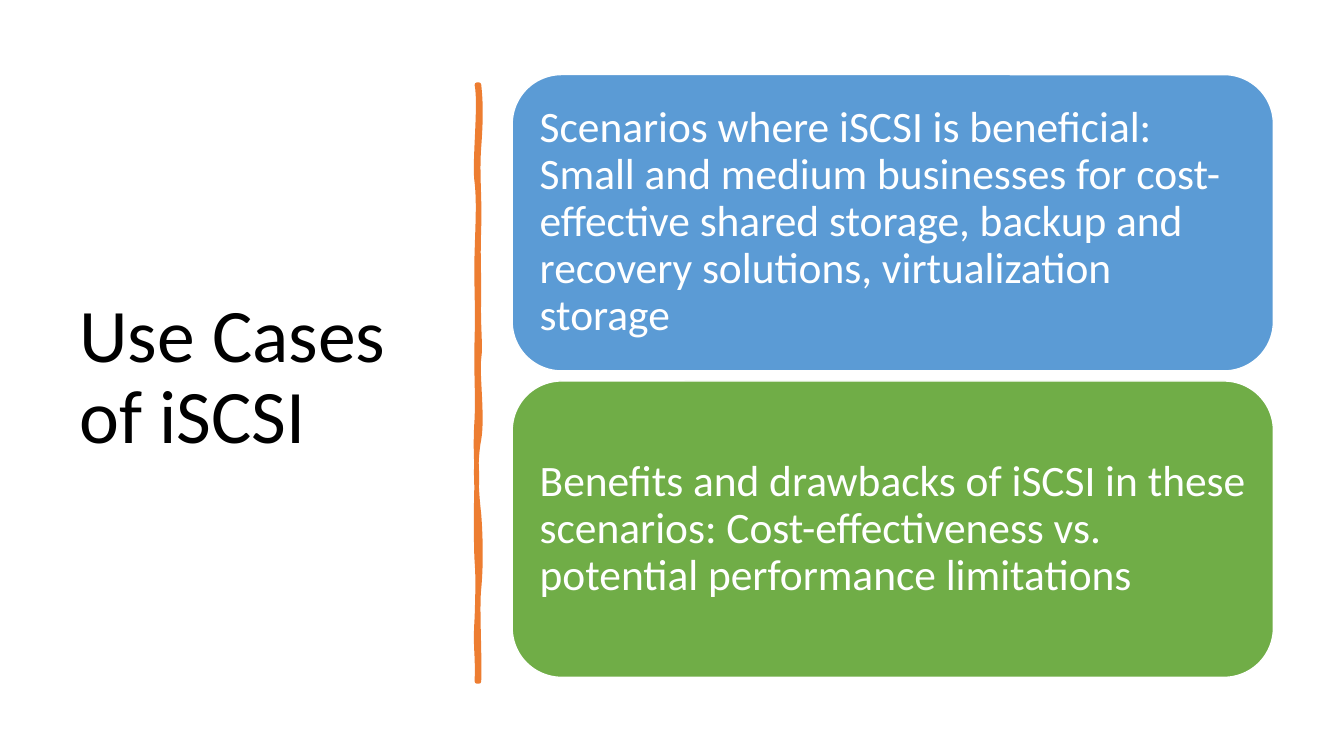
import pptx
import pptx.util
import pptx.dml.color
import pptx.enum.shapes
import pptx.enum.text
import pptx.oxml.ns
import lxml.etree

TITLE = "Use Cases of iSCSI"
CARDS = [
    ("Scenarios where iSCSI is beneficial: Small and medium businesses for cost-effective shared "
     "storage, backup and recovery solutions, virtualization storage", "5B9BD5"),
    ("Benefits and drawbacks of iSCSI in these scenarios: Cost-effectiveness vs. potential "
     "performance limitations", "70AD47"),
]
THEME = {"font": "Calibri", "title": 54, "body": 31, "dark": "000000", "light": "FFFFFF",
         "accent": "ED7D31", "brush": 3.25, "border": 1}

SCALE = 9144
SLIDE_SIZE = (1333, 750)
TITLE_BOX = (69, 70, 374, 611)
TITLE_INSET = (10, 5)
CARD_BOX = (508, 74, 755, 294)
CARD_GAP = 10
CARD_INSET = (13, 13)
BRUSH_LEFT, BRUSH_TOP, BRUSH_RIGHT, BRUSH_BOTTOM = 473, 84, 475, 676
BRUSH_OUTLINE = [
    (477, 102, 477, 119, 475, 146), (473, 173, 476, 195, 475, 226),
    (474, 257, 475, 262, 475, 294), (474, 325, 477, 342, 475, 356),
    (473, 370, 479, 414, 475, 436), (471, 457, 472, 484, 475, 510),
    (477, 536, 477, 564, 475, 584), (473, 603, 476, 650, 475, 676),
    (474, 676, 473, 676, 473, 676), (474, 646, 471, 644, 473, 613),
    (474, 583, 474, 570, 473, 557), (472, 544, 472, 495, 473, 477),
    (473, 459, 471, 445, 473, 415), (474, 386, 472, 373, 473, 335),
    (474, 298, 472, 281, 473, 250), (474, 218, 475, 200, 473, 181),
    (470, 163, 477, 104, 473, 84), (474, 84, 474, 84, 475, 84),
]
BRUSH_BODY = [
    (475, 115, 472, 125, 475, 152), (477, 179, 474, 197, 475, 208),
    (476, 220, 474, 255, 475, 294), (476, 333, 473, 343, 475, 362),
    (477, 381, 477, 397, 475, 430), (472, 463, 475, 474, 475, 516),
    (475, 557, 474, 553, 475, 578), (476, 603, 474, 647, 475, 676),
    (474, 675, 473, 675, 473, 676), (470, 649, 474, 632, 473, 613),
    (472, 595, 475, 569, 473, 539), (471, 510, 476, 500, 473, 471),
    (470, 442, 477, 420, 473, 386), (469, 351, 474, 325, 473, 300),
    (471, 275, 471, 259, 473, 238), (474, 216, 474, 185, 473, 164),
    (471, 143, 475, 121, 473, 84), (474, 84, 474, 84, 475, 84),
]


def emu(*lengths):
    return [round(length * SCALE) for length in lengths]


def color(value):
    return pptx.dml.color.RGBColor.from_string(value)


def write_text(shape, text, *, size, text_color, inset):
    frame = shape.text_frame
    frame.word_wrap = True
    frame.vertical_anchor = pptx.enum.text.MSO_ANCHOR.MIDDLE
    frame.margin_left, frame.margin_top = emu(*inset)
    frame.margin_right, frame.margin_bottom = emu(*inset)
    paragraph = frame.paragraphs[0]
    paragraph.alignment = pptx.enum.text.PP_ALIGN.LEFT
    paragraph.line_spacing = 0.9
    run = paragraph.add_run()
    run.text = text
    run.font.name = THEME["font"]
    run.font.size = pptx.util.Pt(size)
    run.font.color.rgb = color(text_color)


def add_element(parent, name, **attributes):
    return lxml.etree.SubElement(parent, pptx.oxml.ns.qn(name), **attributes)


def add_contour(contours, curves, **paint):
    width, height = emu(BRUSH_RIGHT - BRUSH_LEFT, BRUSH_BOTTOM - BRUSH_TOP)
    contour = add_element(contours, "a:path", w=str(width), h=str(height), **paint)
    steps = [("a:moveTo", (BRUSH_RIGHT, BRUSH_TOP))]
    steps += [("a:cubicBezTo", curve) for curve in curves]
    for name, values in steps:
        step = add_element(contour, name)
        for across, down in zip(values[::2], values[1::2]):
            x, y = emu(across - BRUSH_LEFT, down - BRUSH_TOP)
            add_element(step, "a:pt", x=str(x), y=str(y))
    add_element(contour, "a:close")


def add_divider(slide):
    builder = slide.shapes.build_freeform(*emu(BRUSH_RIGHT, BRUSH_TOP), scale=1.0)
    builder.add_line_segments([emu(BRUSH_LEFT, BRUSH_BOTTOM)])
    divider = builder.convert_to_shape()
    contours = divider.element.find(".//" + pptx.oxml.ns.qn("a:pathLst"))
    contours.clear()
    add_contour(contours, BRUSH_OUTLINE, fill="none")
    add_contour(contours, BRUSH_BODY, stroke="0")
    divider.shadow.inherit = False
    divider.fill.solid()
    divider.fill.fore_color.rgb = color(THEME["accent"])
    divider.line.color.rgb = color(THEME["accent"])
    divider.line.width = pptx.util.Pt(THEME["brush"])
    line = divider.element.find(".//" + pptx.oxml.ns.qn("a:ln"))
    line.set("cap", "rnd")
    add_element(line, "a:round")


def add_card(slide, index, text, fill):
    left, top, width, height = CARD_BOX
    top += index * (height + CARD_GAP)
    card = slide.shapes.add_shape(
        pptx.enum.shapes.MSO_SHAPE.ROUNDED_RECTANGLE, *emu(left, top, width, height))
    card.shadow.inherit = False
    card.fill.solid()
    card.fill.fore_color.rgb = color(fill)
    card.line.color.rgb = color(THEME["light"])
    card.line.width = pptx.util.Pt(THEME["border"])
    write_text(card, text, size=THEME["body"], text_color=THEME["light"], inset=CARD_INSET)


def main():
    presentation = pptx.Presentation()
    presentation.slide_width, presentation.slide_height = emu(*SLIDE_SIZE)
    slide = presentation.slides.add_slide(presentation.slide_layouts[6])
    title = slide.shapes.add_textbox(*emu(*TITLE_BOX))
    write_text(title, TITLE, size=THEME["title"], text_color=THEME["dark"], inset=TITLE_INSET)
    add_divider(slide)
    for index, (text, fill) in enumerate(CARDS):
        add_card(slide, index, text, fill)
    presentation.save("out.pptx")


if __name__ == "__main__":
    main()
